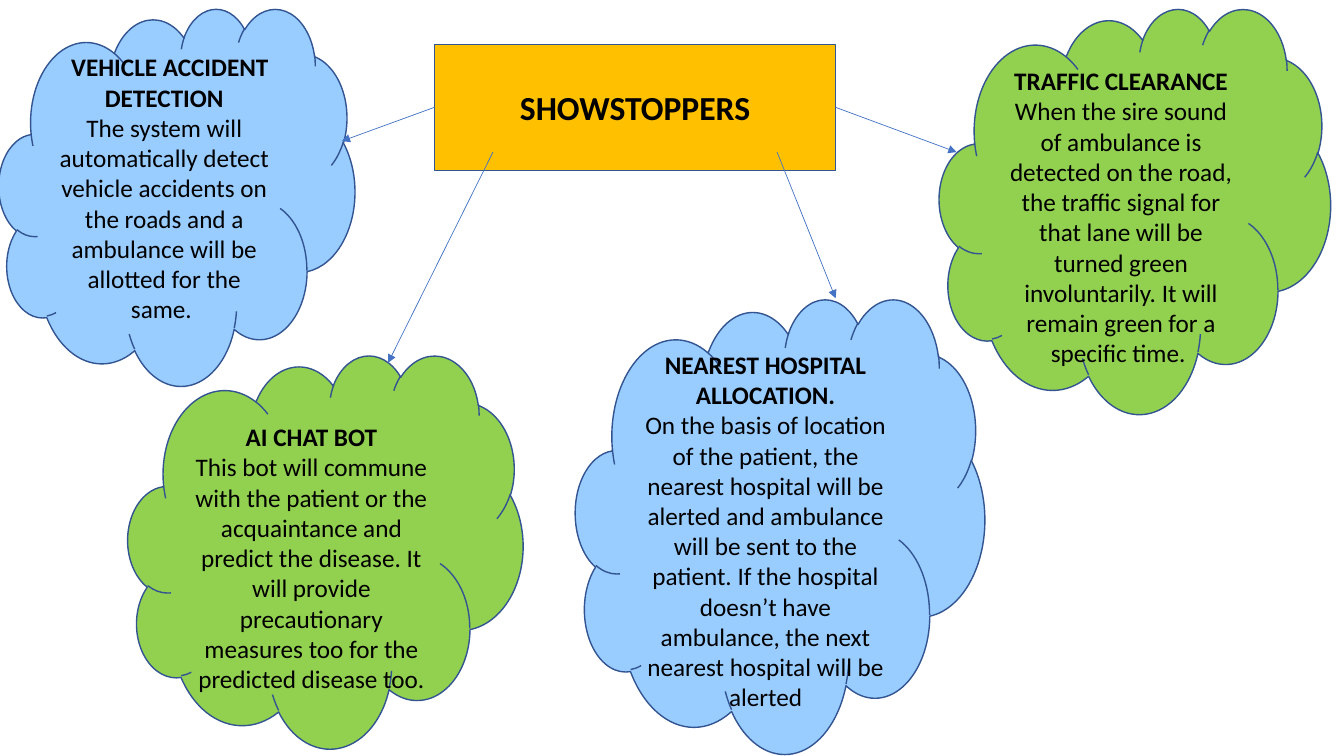
"""Build the showstoppers slide: a central oval with arrows to four clouds."""
from lxml import etree
from pptx import Presentation
from pptx import util as u
from pptx.dml import color
from pptx.enum import shapes, text
from pptx.oxml import ns

BLUE, GREEN, GOLD = "99CCFF", "92D050", "FFC000"
EDGE, ARROW, INK = "325491", "4472C4", "000000"
FONT, BODY, HEAD = "Calibri", 18, 24
INSET, ROW = 3.6, 22

OVAL = ("SHOWSTOPPERS", (310.3, 31.7, 286.6, 90))

CLOUDS = [
    dict(head="VEHICLE ACCIDENT DETECTION", fill=BLUE, drop=0, indent=8,
         box=(-0.7, 5.8, 254.2, 269.3),
         body="The system will automatically detect vehicle accidents on the "
              "roads and a ambulance will be allotted for the same. "),
    dict(head="NEAREST HOSPITAL ALLOCATION.", fill=BLUE, drop=1, indent=0,
         box=(411.1, 213.1, 292.3, 324.7),
         body="On the basis of location of the patient, the nearest hospital "
              "will be alerted and ambulance will be sent to the patient. If "
              "the hospital doesn’t have ambulance, the next nearest "
              "hospital will be alerted"),
    dict(head="TRAFFIC CLEARANCE", fill=GREEN, drop=1, indent=0,
         box=(671, 5.8, 279.4, 289.4),
         body="When the sire sound of ambulance is detected on the road, the "
              "traffic signal for that lane will be turned green "
              "involuntarily. It will remain green for a specific time. "),
    dict(head="AI CHAT BOT", fill=GREEN, drop=1, indent=0,
         box=(91.4, 253.4, 282.2, 280.8),
         body="This bot will commune with the patient or the acquaintance and "
              "predict the disease. It will provide precautionary measures "
              "too for the predicted disease too."),
]

ARROWS = [
    (310.3, 76.7, 244.1, 100.8),
    (352.1, 108.7, 277.2, 259.2),
    (555.1, 108.7, 596.9, 213.1),
    (596.9, 76.7, 683.3, 108.7),
]


def rgb(code):
    """Turn a hex string into a colour."""
    return color.RGBColor.from_string(code)


def pts(nums):
    """Turn numbers into lengths in points."""
    return [u.Pt(n) for n in nums]


def paint(shape, fill):
    """Give a shape its fill and outline."""
    shape.fill.solid()
    shape.fill.fore_color.rgb = rgb(fill)
    shape.line.color.rgb = rgb(EDGE)
    shape.line.width = u.Pt(1)


def write(shape, lines, size, drop=0):
    """Set centred paragraphs, the first one bold."""
    frame = shape.text_frame
    frame.text = "\n".join(lines)
    frame.word_wrap = True
    frame.auto_size = text.MSO_AUTO_SIZE.NONE
    frame.vertical_anchor = text.MSO_ANCHOR.MIDDLE
    frame.margin_top = u.Pt(INSET + drop * ROW)
    frame.margin_bottom = u.Pt(INSET)
    for i, para in enumerate(frame.paragraphs):
        para.alignment = text.PP_ALIGN.CENTER
        para.line_spacing = 1.0
        para.space_before = u.Pt(0)
        for run in para.runs:
            run.font.name = FONT
            run.font.size = u.Pt(size)
            run.font.bold = i == 0
            run.font.color.rgb = rgb(INK)


def add_oval(slide):
    """Shape the title placeholder as the central oval."""
    title = slide.shapes.title
    label, box = OVAL
    title.left, title.top, title.width, title.height = pts(box)
    geom = etree.Element(ns.qn("a:prstGeom"), prst="ellipse")
    etree.SubElement(geom, ns.qn("a:avLst"))
    title._element.spPr.insert(1, geom)
    paint(title, GOLD)
    write(title, [label], HEAD)


def add_cloud(slide, item):
    """Draw one cloud with its heading and text."""
    cloud = slide.shapes.add_shape(shapes.MSO_SHAPE.CLOUD, *pts(item["box"]))
    cloud.shadow.inherit = False
    paint(cloud, item["fill"])
    write(cloud, [item["head"], item["body"]], BODY, item["drop"])
    if item["indent"]:
        props = cloud.text_frame.paragraphs[0]._p.get_or_add_pPr()
        props.set("indent", str(u.Pt(item["indent"])))


def add_arrow(slide, ends):
    """Draw one thin arrow."""
    link = slide.shapes.add_connector(shapes.MSO_CONNECTOR.STRAIGHT, *pts(ends))
    link.line.color.rgb = rgb(ARROW)
    link.line.width = u.Pt(0.5)
    etree.SubElement(link.line._get_or_add_ln(), ns.qn("a:tailEnd"),
                     type="triangle")
    etree.SubElement(link._element.spPr, ns.qn("a:effectLst"))


def main():
    """Build and save the slide."""
    deck = Presentation()
    deck.slide_width, deck.slide_height = pts((960, 540))
    slide = deck.slides.add_slide(deck.slide_layouts[5])
    for item in CLOUDS:
        add_cloud(slide, item)
    add_oval(slide)
    for ends in ARROWS:
        add_arrow(slide, ends)
    deck.save("out.pptx")


main()
